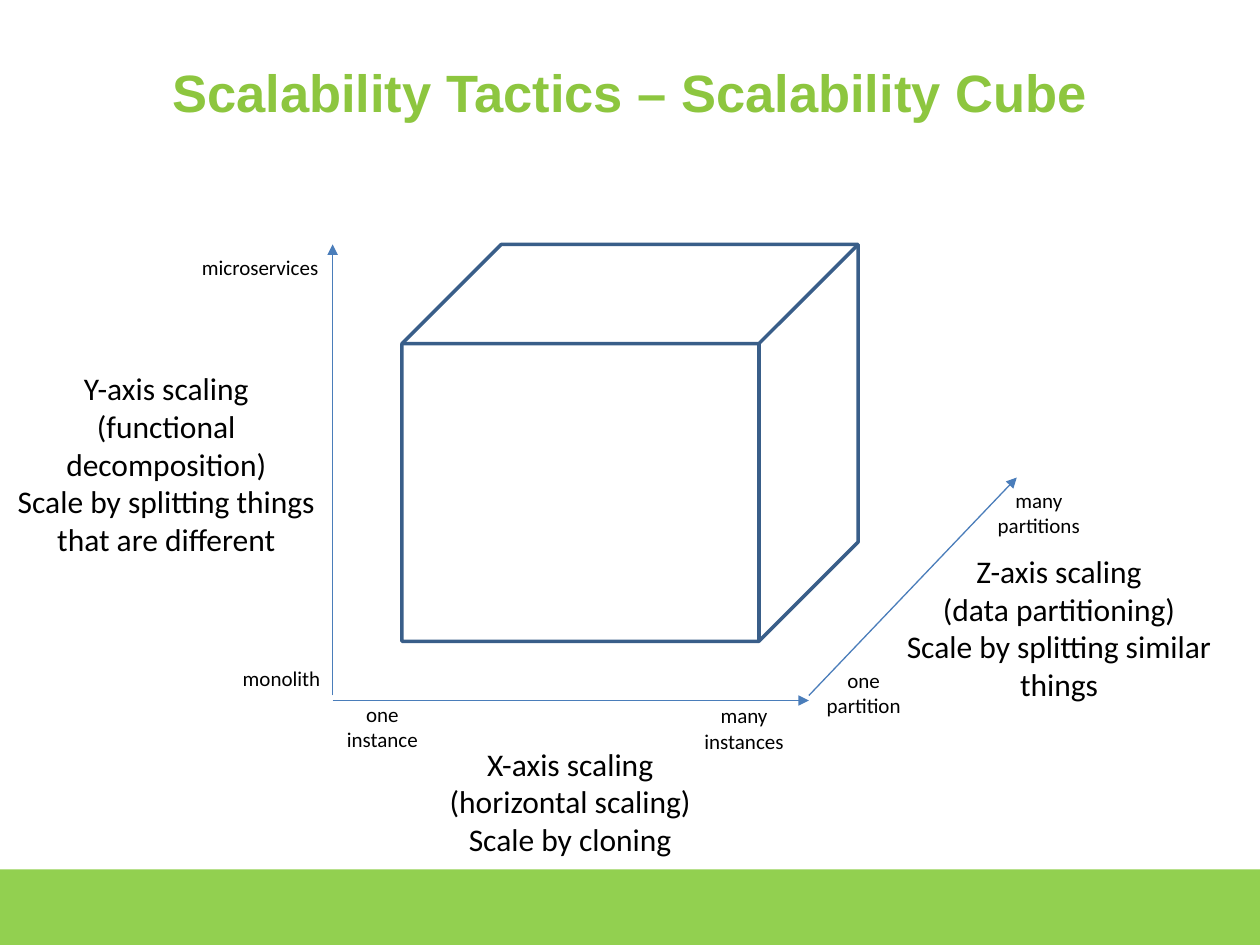
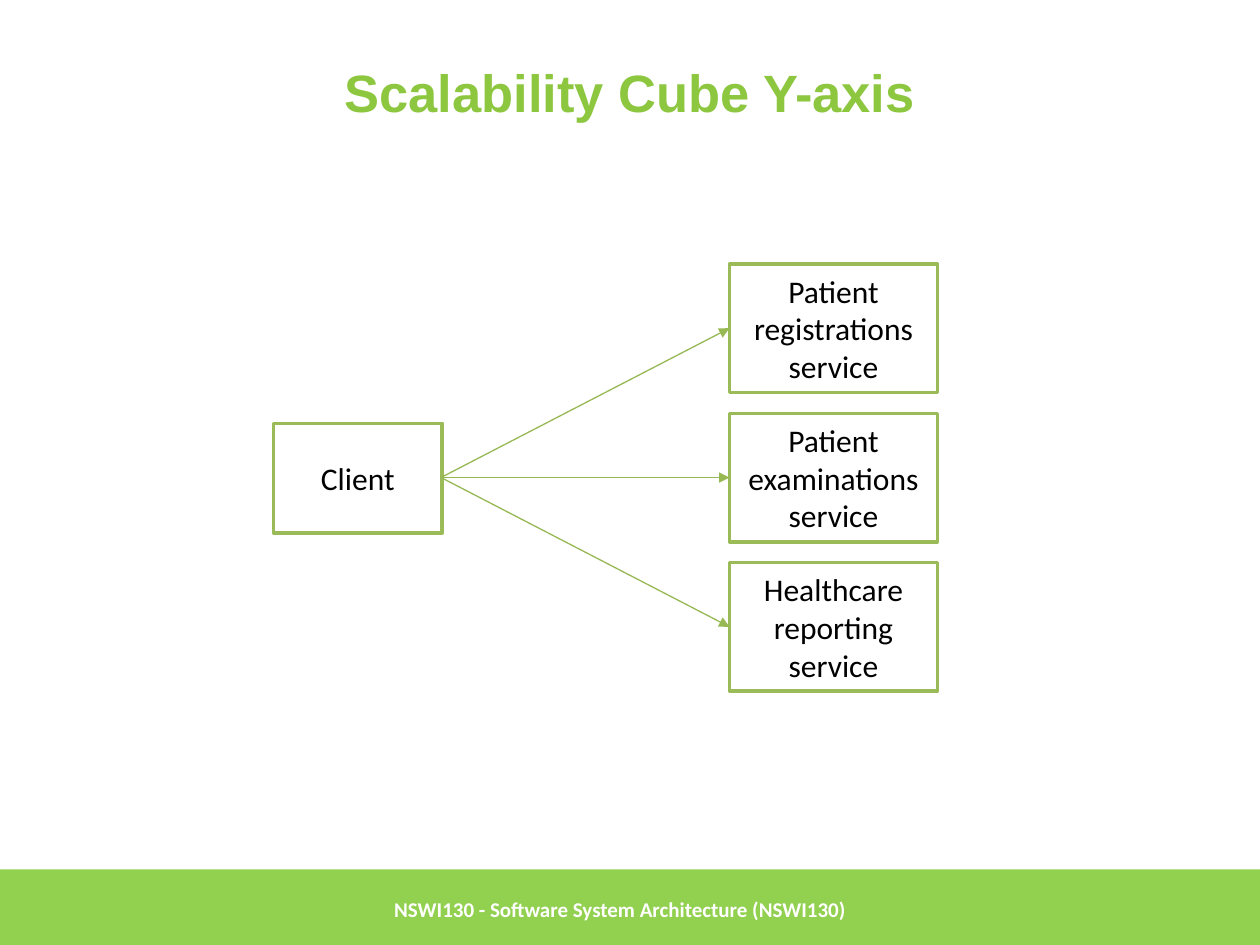
"""Build two slides on the scalability cube, measured on a grid of 100 columns by 75 rows."""
from pptx import Presentation
from pptx import util as u
from pptx.dml.color import RGBColor
from pptx.enum import shapes, text
from pptx.oxml.ns import qn
from lxml import etree

HUES = {"title": "8DC63F", "band": "92D050", "cube": "395E89", "axis": "4A7DBA",
        "box": "9BBB59", "link": "97B853", "ink": "000000", "white": "FFFFFF"}
MID = text.PP_ALIGN.CENTER
RECT = shapes.MSO_SHAPE.RECTANGLE

deck = Presentation()
deck.slide_width, deck.slide_height = u.Inches(10), u.Inches(7.5)
COL, ROW = deck.slide_width / 100, deck.slide_height / 75


def put(slide, area, lines=(), size=18, hue="ink", kind=None, fill=None, edge=None,
        font="Calibri", bold=False, align=MID, mid=False):
    left, top, wide, high = area
    place = [int(n) for n in (left * COL, top * ROW, wide * COL, high * ROW)]
    if kind is None:
        shape = slide.shapes.add_textbox(*place)
    else:
        shape = slide.shapes.add_shape(kind, *place)
        shape.shadow.inherit = False
        if fill:
            shape.fill.solid()
            shape.fill.fore_color.rgb = RGBColor.from_string(HUES[fill])
        else:
            shape.fill.background()
        if edge:
            shape.line.color.rgb = RGBColor.from_string(HUES[edge])
            shape.line.width = u.Pt(2)
        else:
            shape.line.fill.background()
    if lines:
        frame = shape.text_frame
        frame.word_wrap = True
        frame.vertical_anchor = text.MSO_ANCHOR.MIDDLE if mid else text.MSO_ANCHOR.TOP
        frame.text = "\n".join(lines)
        for para in frame.paragraphs:
            para.alignment = align
            for run in para.runs:
                run.font.size, run.font.name, run.font.bold = u.Pt(size), font, bold
                run.font.color.rgb = RGBColor.from_string(HUES[hue])
    return shape


def arrow(slide, start, end, hue):
    ends = [int(n) for x, y in (start, end) for n in (x * COL, y * ROW)]
    line = slide.shapes.add_connector(shapes.MSO_CONNECTOR.STRAIGHT, *ends)
    line.line.color.rgb = RGBColor.from_string(HUES[hue])
    line.line.width = u.Pt(0.75)
    etree.SubElement(line.line._get_or_add_ln(), qn("a:tailEnd"), type="triangle")
    etree.SubElement(line._element.spPr, qn("a:effectLst"))


pages = []
for title in ("Scalability Tactics – Scalability Cube", "Scalability Cube Y-axis"):
    page = deck.slides.add_slide(deck.slide_layouts[6])
    put(page, (0, 69, 100, 6), kind=RECT, fill="band")
    put(page, (5, 3, 90, 8.5), [title], 30, "title", font="Arial", bold=True, mid=True)
    pages.append(page)
cube, split = pages

put(cube, (31.9, 19.4, 36.2, 31.5), kind=shapes.MSO_SHAPE.CUBE, edge="cube")
for start, end in (((26.4, 55.6), (64.2, 55.6)),
                   ((26.4, 55.2), (26.4, 19.4)),
                   ((64.2, 55.2), (80.7, 37.9))):
    arrow(cube, start, end, "axis")

axes = (
    ((24, 58.6, 42.5, 10.1), "X", "(horizontal scaling)", "Scale by cloning"),
    ((0, 28.8, 26.4, 16.2), "Y", "(functional decomposition)",
     "Scale by splitting things that are different"),
    ((69.7, 43.3, 28.7, 13.1), "Z", "(data partitioning)",
     "Scale by splitting similar things"),
)
for area, name, way, rule in axes:
    put(cube, area, [f"{name}-axis scaling", way, rule])

ticks = (
    ((26, 55.2, 8.7, 5), "one instance"),
    ((54.7, 55.3, 8.7, 5), "many instances"),
    ((64.2, 52.5, 8.7, 5), "one partition"),
    ((78.1, 38.2, 8.7, 5), "many partitions"),
    ((18, 52.3, 8.7, 3), "monolith"),
    ((14.6, 19.7, 12.1, 3), "microservices"),
)
for area, label in ticks:
    put(cube, area, [label], 12)

put(split, (30.3, 69, 60.2, 6.3), ["NSWI130 - Software System Architecture (NSWI130)"], 12,
    "white", bold=True, align=text.PP_ALIGN.LEFT, mid=True)
left, high, step, hub = 57.9, 10.2, 11.85, (35, 37.9)
put(split, (21.7, 33.6, 13.4, 8.7), ["Client"], kind=RECT, fill="white", edge="box", mid=True)
jobs = ("Patient registrations service", "Patient examinations service",
        "Healthcare reporting service")
for i, job in enumerate(jobs):
    mid = hub[1] + (i - 1) * step
    put(split, (left, mid - high / 2, 16.5, high), [job], kind=RECT, fill="white",
        edge="box", mid=True)
    arrow(split, hub, (left, mid), "link")

deck.save("out.pptx")
